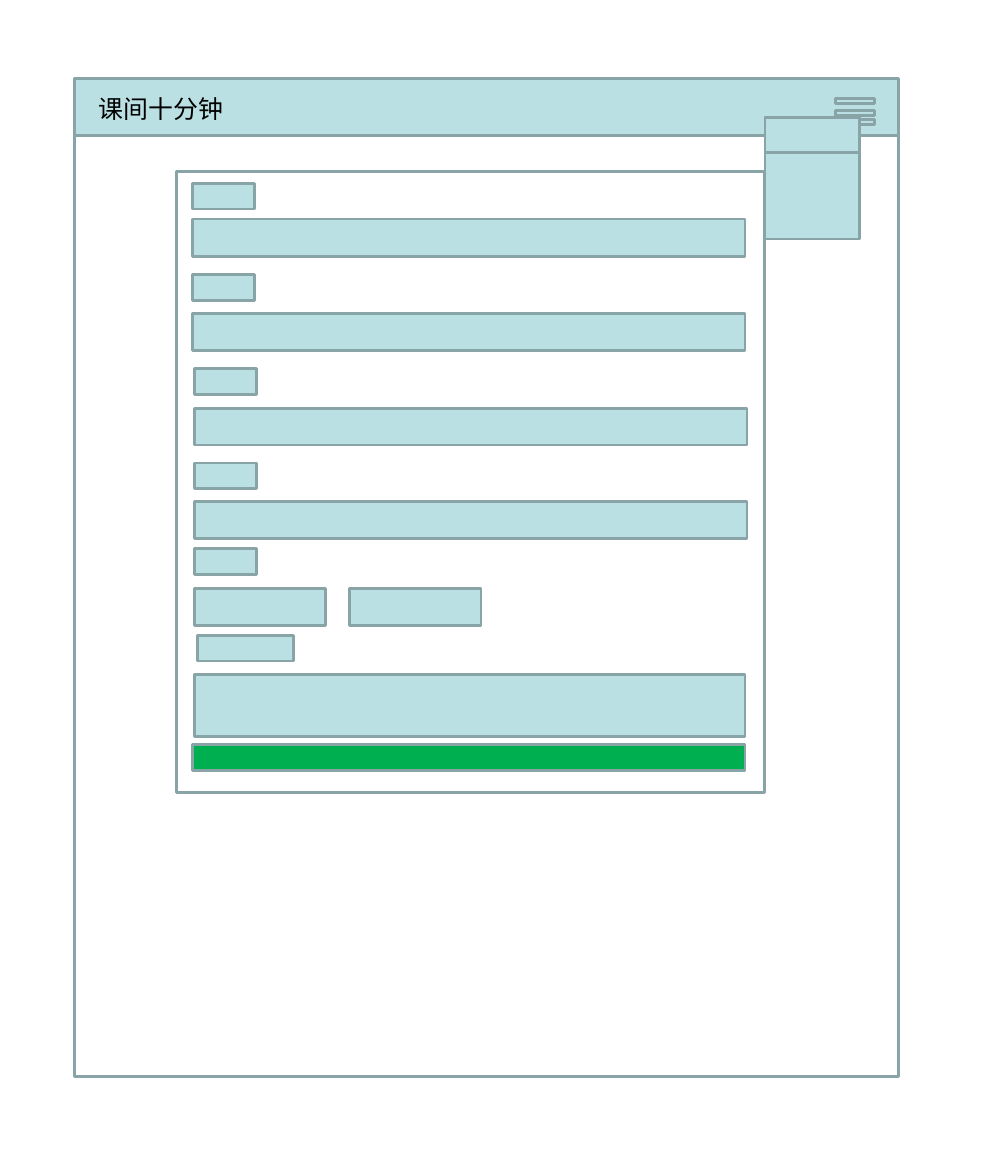
from lxml import etree
from pptx import Presentation
from pptx.dml.color import RGBColor
from pptx.enum.shapes import MSO_SHAPE
from pptx.enum.text import MSO_ANCHOR, MSO_AUTO_SIZE
from pptx.oxml.ns import qn
from pptx.util import Emu, Pt

RECTANGLE = MSO_SHAPE.RECTANGLE
TOP = MSO_ANCHOR.TOP
GROW = MSO_AUTO_SIZE.SHAPE_TO_FIT_TEXT

WHITE = RGBColor(0xFF, 0xFF, 0xFF)
BLACK = RGBColor(0x00, 0x00, 0x00)
PALE_TEAL = RGBColor(0xBB, 0xE0, 0xE3)
GREY_TEAL = RGBColor(0x89, 0xA4, 0xA7)
GREEN = RGBColor(0x00, 0xB0, 0x50)

FONT = "Noto Sans CJK SC"
EMU_PER_PX = 9144  # 100 px to the inch
PAGE_WIDTH, PAGE_HEIGHT = 1000, 1181


def px(length):
    return Emu(length * EMU_PER_PX)


class Wireframe:
    """Draws outlined panels and text on one slide in a shared style."""

    def __init__(self, slide, line_color=GREY_TEAL, line_width=2):
        self.slide = slide
        self.line_color = line_color
        self.line_width = Pt(line_width)

    def group(self):
        return self.slide.shapes.add_group_shape()

    def panel(self, left, top, width, height, fill=PALE_TEAL, group=None):
        shapes = (group or self.slide).shapes
        box = shapes.add_shape(RECTANGLE, px(left), px(top), px(width), px(height))
        box.shadow.inherit = False
        box.fill.solid()
        box.fill.fore_color.rgb = fill
        box.line.color.rgb = self.line_color
        box.line.width = self.line_width
        return box

    def text(self, words, left, top, width, height, *, size=18, color=BLACK, font=FONT):
        box = self.slide.shapes.add_textbox(px(left), px(top), px(width), px(height))
        frame = box.text_frame
        frame.word_wrap = True
        frame.auto_size = GROW
        frame.vertical_anchor = TOP
        span = frame.paragraphs[0].add_run()
        span.text = words
        span.font.size = Pt(size)
        span.font.name = font
        span.font.color.rgb = color
        east_asian = etree.SubElement(span.font._element, qn("a:ea"))
        east_asian.set("typeface", font)
        return box


def draw_page_frame(page):
    page.panel(75, 81, 827, 1000, fill=WHITE)
    page.panel(75, 79, 827, 57)
    for bar_top in (99, 111, 120):
        page.panel(839, bar_top, 39, 5)


def draw_menu(page):
    menu = page.group()
    for height in (122, 35):
        page.panel(768, 118, 95, height, group=menu)


def draw_form(page):
    form = page.group()
    page.panel(177, 172, 591, 624, fill=WHITE, group=form)

    # left, label top, field top, field height
    rows = [
        (193, 184, 220, 38),
        (193, 276, 315, 37),
        (195, 370, 410, 37),
        (195, 465, 504, 37),
    ]
    for left, label_top, field_top, field_height in rows:
        page.panel(left, label_top, 63, 26, group=form)
        page.panel(left, field_top, 555, field_height, group=form)

    page.panel(195, 551, 63, 26, group=form)
    for option_left in (195, 351):
        page.panel(option_left, 591, 132, 37, group=form)

    page.panel(198, 638, 97, 26, group=form)
    page.panel(195, 677, 553, 63, group=form)
    page.panel(193, 748, 555, 26, fill=GREEN, group=form)


def main():
    deck = Presentation()
    deck.slide_width = px(PAGE_WIDTH)
    deck.slide_height = px(PAGE_HEIGHT)
    blank_layout = deck.slide_layouts[6]
    page = Wireframe(deck.slides.add_slide(blank_layout))
    draw_page_frame(page)
    draw_menu(page)
    draw_form(page)
    page.text("课间十分钟", 89, 89, 220, 40)
    deck.save("out.pptx")


if __name__ == "__main__":
    main()
